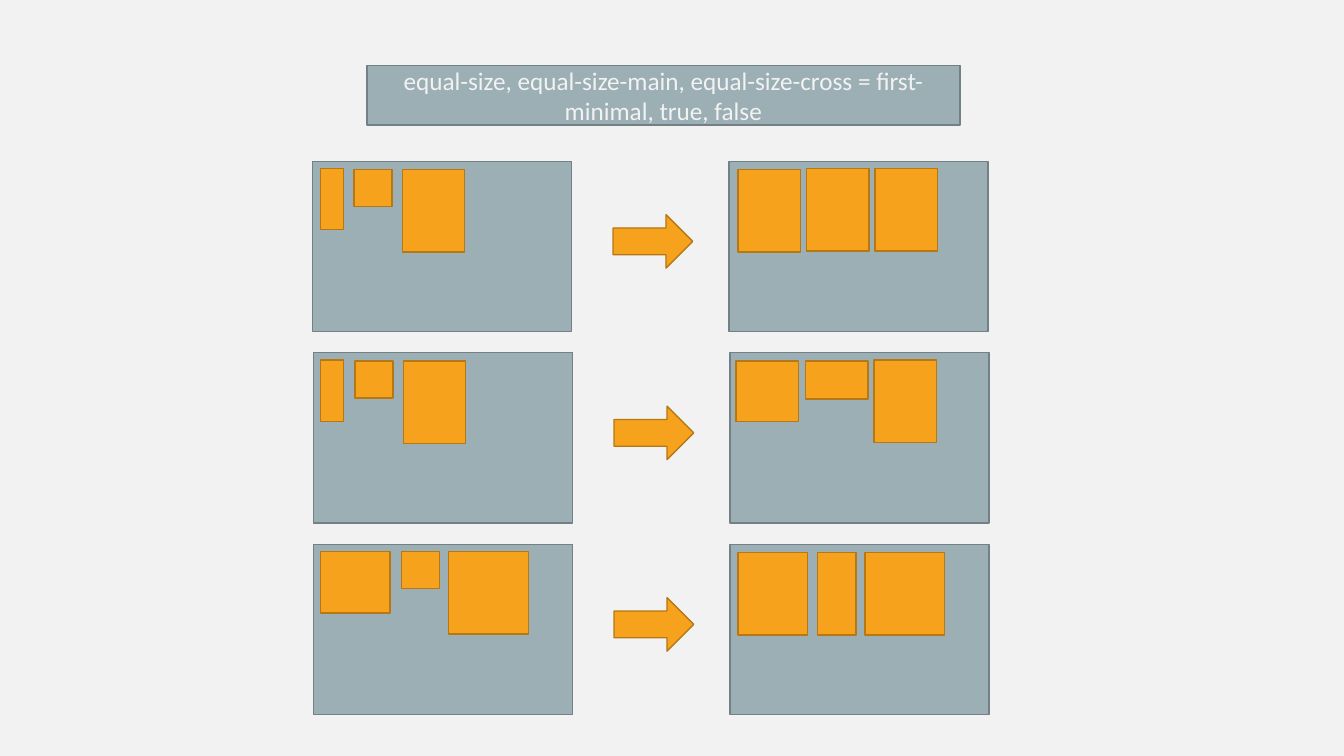
"""Build a slide showing how equal-size settings change the tiles in a layout."""
from pptx import Presentation
from pptx.dml.color import RGBColor
from pptx.enum.shapes import MSO_SHAPE
from pptx.enum.text import MSO_ANCHOR, MSO_AUTO_SIZE, PP_ALIGN
from pptx.util import Inches, Pt

RECT, ARROW = MSO_SHAPE.RECTANGLE, MSO_SHAPE.RIGHT_ARROW
MIDDLE, CENTER, NO_FIT = MSO_ANCHOR.MIDDLE, PP_ALIGN.CENTER, MSO_AUTO_SIZE.NONE
COLORS = {
    "background": "F2F2F2",
    "text": "F2F2F2",
    "panel": "9BAFB5",
    "panel_line": "738186",
    "tile": "F6A21D",
    "tile_line": "B67815",
}
TOP, ROW_STEP = 1.6, 1.9
PANEL_W, PANEL_H = 2.57, 1.69
AFTER_DX = 4.13
ARROW_DX, ARROW_DY = 2.98, 0.53

# Each row: panel left, tiles before, tiles after (dx, dy, width, height in the panel)
ROWS = [
    (3.1,
     [(0.08, 0.07, 0.23, 0.61), (0.41, 0.08, 0.38, 0.37), (0.89, 0.08, 0.62, 0.82)],
     [(0.09, 0.08, 0.62, 0.82), (0.77, 0.07, 0.62, 0.82), (1.45, 0.07, 0.62, 0.82)]),
    (3.11,
     [(0.07, 0.07, 0.23, 0.61), (0.41, 0.08, 0.38, 0.37), (0.89, 0.08, 0.62, 0.82)],
     [(0.06, 0.08, 0.62, 0.6), (0.75, 0.08, 0.62, 0.38), (1.43, 0.07, 0.62, 0.82)]),
    (3.11,
     [(0.07, 0.07, 0.69, 0.61), (0.87, 0.07, 0.38, 0.37), (1.34, 0.07, 0.79, 0.82)],
     [(0.08, 0.08, 0.69, 0.82), (0.87, 0.08, 0.38, 0.82), (1.34, 0.08, 0.79, 0.82)]),
]


def rgb(name):
    """Return the named colour."""
    return RGBColor.from_string(COLORS[name])


class Deck:
    """Hold the style and the current slide."""

    def __init__(self):
        """Start a widescreen deck with one title slide."""
        self.prs = Presentation()
        self.prs.slide_width, self.prs.slide_height = Inches(13.33), Inches(7.5)
        self.s = self.prs.slides.add_slide(self.prs.slide_layouts[5])
        fill = self.s.background.fill
        fill.solid()
        fill.fore_color.rgb = rgb("background")

    def paint(self, sp, kind):
        """Give a shape the fill and outline of its kind."""
        sp.fill.solid()
        sp.fill.fore_color.rgb = rgb(kind)
        sp.line.color.rgb = rgb(kind + "_line")
        sp.line.width = Pt(1)

    def title(self, text, left, top, width, height):
        """Place and format the title."""
        sp = self.s.shapes.title
        sp.left, sp.top = Inches(left), Inches(top)
        sp.width, sp.height = Inches(width), Inches(height)
        self.paint(sp, "panel")
        tf = sp.text_frame
        tf.word_wrap, tf.auto_size, tf.vertical_anchor = True, NO_FIT, MIDDLE
        p = tf.paragraphs[0]
        p.alignment = CENTER
        r = p.add_run()
        r.text = text
        r.font.size, r.font.name = Pt(18), "Calibri"
        r.font.color.rgb = rgb("text")

    def shape(self, preset, kind, left, top, width, height):
        """Add a painted preset shape."""
        sp = self.s.shapes.add_shape(
            preset, Inches(left), Inches(top), Inches(width), Inches(height))
        sp.shadow.inherit = False
        self.paint(sp, kind)

    def panel(self, left, top, tiles):
        """Add a panel with its tiles."""
        self.shape(RECT, "panel", left, top, PANEL_W, PANEL_H)
        for dx, dy, width, height in tiles:
            self.shape(RECT, "tile", left + dx, top + dy, width, height)


def main():
    """Build and save the slide."""
    deck = Deck()
    deck.title("equal-size, equal-size-main, equal-size-cross = first-minimal, true, false",
               3.64, 0.65, 5.88, 0.59)
    for i, (left, before, after) in enumerate(ROWS):
        top = TOP + i * ROW_STEP
        deck.panel(left, top, before)
        deck.shape(ARROW, "tile", left + ARROW_DX, top + ARROW_DY, 0.79, 0.53)
        deck.panel(left + AFTER_DX, top, after)
    deck.prs.save("out.pptx")


if __name__ == "__main__":
    main()
